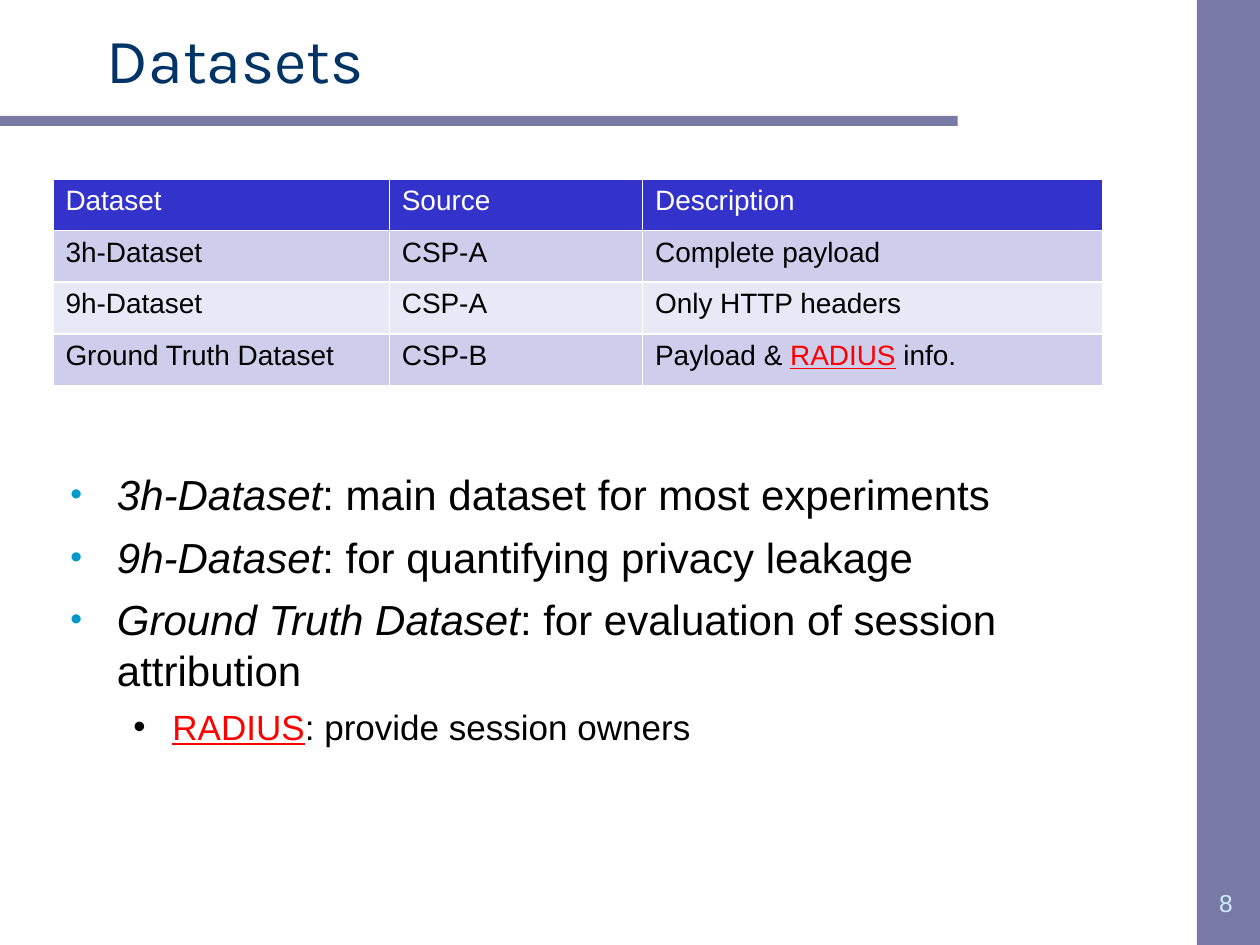
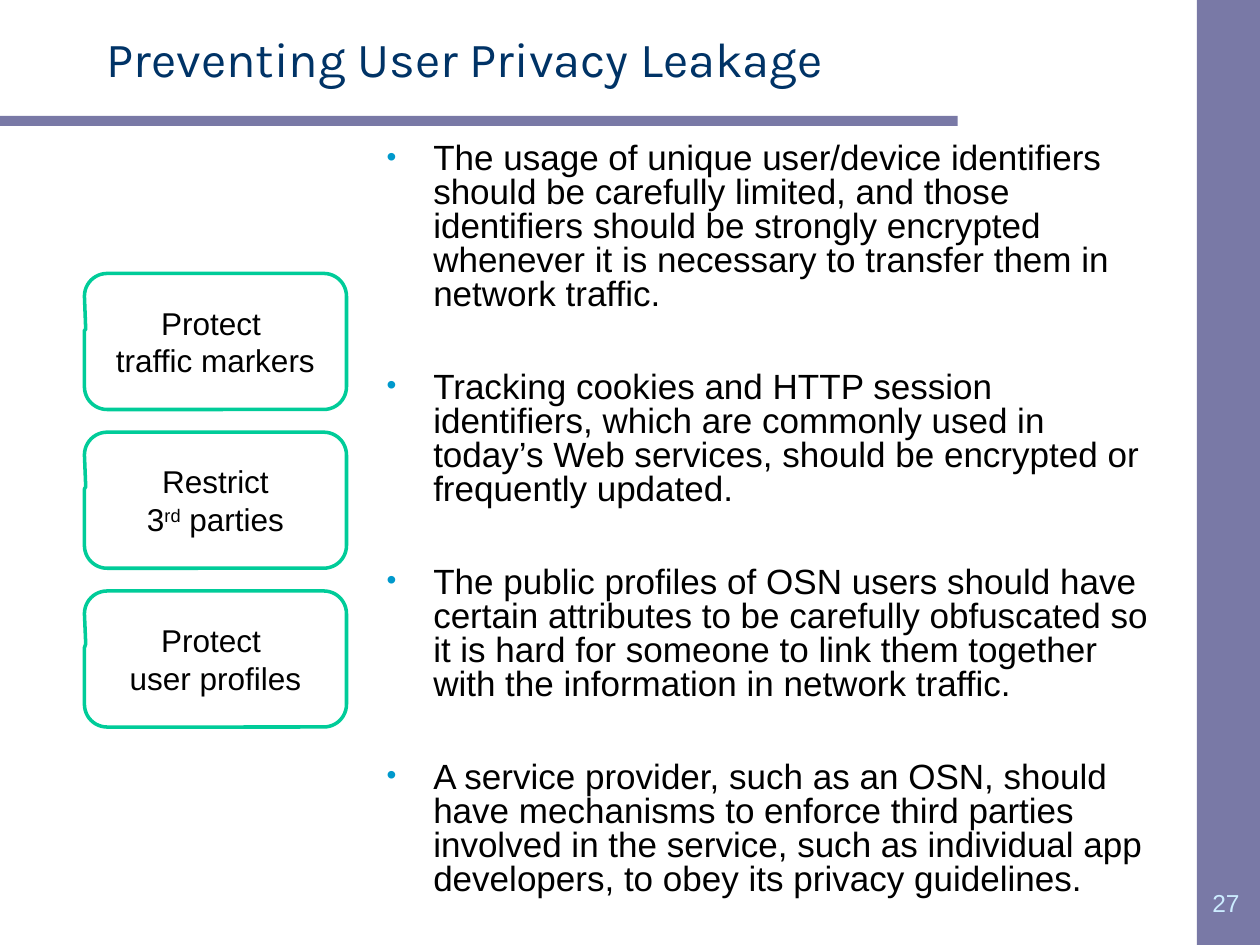
from lxml import etree
from pptx import Presentation
from pptx.dml.color import RGBColor
from pptx.enum.shapes import MSO_SHAPE
from pptx.enum.text import MSO_ANCHOR, PP_ALIGN
from pptx.oxml.ns import qn
from pptx.util import Inches, Pt

RECT = MSO_SHAPE.RECTANGLE
CALLOUT = MSO_SHAPE.ROUNDED_RECTANGULAR_CALLOUT
CENTER = PP_ALIGN.CENTER
MIDDLE, TOP = MSO_ANCHOR.MIDDLE, MSO_ANCHOR.TOP

# Shared style
BAND, TITLE, NUMBER = "7979A6", "003366", "CCECFF"
BLACK, WHITE, RED = "000000", "FFFFFF", "FF0000"
BULLET, OUTLINE = "0099CC", "00CC99"
HEADER, ROW_DARK, ROW_LIGHT = "3333CC", "CECEEC", "E8E8F6"
BODY_FONT, TITLE_FONT = "Arial", "Karla"

# Content: a run is plain text or (text, style)
RADIUS = ("RADIUS", "key")

DATASET_ROWS = [
    ["Dataset", "Source", "Description"],
    ["3h-Dataset", "CSP-A", "Complete payload"],
    ["9h-Dataset", "CSP-A", "Only HTTP headers"],
    ["Ground Truth Dataset", "CSP-B", ["Payload & ", RADIUS, " info."]],
]
DATASET_COLS = [2.67, 2.01, 3.65]

DATASET_NOTES = [  # level, runs
    (0, [("3h-Dataset", "italic"), ": main dataset for most experiments"]),
    (0, [("9h-Dataset", "italic"), ": for quantifying privacy leakage"]),
    (0, [("Ground Truth Dataset", "italic"),
         ": for evaluation of session attribution"]),
    (1, [RADIUS, ": provide session owners"]),
]

MEASURES = [  # pointer height, lines
    (-0.086, ["Protect ", "traffic markers"]),
    (-0.098, ["Restrict", ["3", ("rd", "super"), " parties"]]),
    (-0.11, ["Protect ", "user profiles"]),
]

GUIDELINES = [
    "The usage of unique user/device identifiers should be carefully limited, "
    "and those identifiers should be strongly encrypted whenever it is "
    "necessary to transfer them in network traffic.",
    "Tracking cookies and HTTP session identifiers, which are commonly used in "
    "today’s Web services, should be encrypted or frequently updated.",
    "The public profiles of OSN users should have certain attributes to be "
    "carefully obfuscated so it is hard for someone to link them together with "
    "the information in network traffic.",
    "A service provider, such as an OSN, should have mechanisms to enforce "
    "third parties involved in the service, such as individual app developers, "
    "to obey its privacy guidelines.",
]

# Per level: left margin, hanging indent, bullet colour, bullet size %, text size, space before
LEVELS = [(0.37, 0.37, BULLET, 80, 24, 7), (0.81, 0.31, BLACK, 100, 20, 6)]


def rgb(color):
    return RGBColor.from_string(color)


def add_runs(p, runs, size, color=BLACK, font=BODY_FONT):
    for run in [runs] if isinstance(runs, str) else runs:
        text, style = (run, None) if isinstance(run, str) else run
        r = p.add_run()
        r.text = text
        r.font.name, r.font.size = font, Pt(size)
        r.font.color.rgb = rgb(RED if style == "key" else color)
        if style == "key":
            r.font.underline = True
        elif style == "italic":
            r.font.italic = True
        elif style == "super":
            r.font._element.set("baseline", "30000")


def next_paragraph(tf, index):
    return tf.add_paragraph() if index else tf.paragraphs[0]


def add_box(slide, x, y, w, h, anchor=TOP):
    tf = slide.shapes.add_textbox(
        Inches(x), Inches(y), Inches(w), Inches(h)).text_frame
    tf.word_wrap = True
    tf.vertical_anchor = anchor
    return tf


def add_shape(slide, kind, x, y, w, h, fill):
    sp = slide.shapes.add_shape(
        kind, Inches(x), Inches(y), Inches(w), Inches(h))
    sp.shadow.inherit = False
    sp.fill.solid()
    sp.fill.fore_color.rgb = rgb(fill)
    sp.line.fill.background()
    return sp


def set_bullet(p, level):
    margin, hang, color, percent = LEVELS[level][:4]
    pPr = p._p.get_or_add_pPr()
    pPr.set("marL", str(Inches(margin)))
    pPr.set("indent", str(-Inches(hang)))
    clr = etree.SubElement(pPr, qn("a:buClr"))
    etree.SubElement(clr, qn("a:srgbClr"), val=color)
    etree.SubElement(pPr, qn("a:buSzPct"), val=str(percent * 1000))
    etree.SubElement(pPr, qn("a:buFont"), typeface=BODY_FONT)
    etree.SubElement(pPr, qn("a:buChar"), char="•")


def set_borders(cell, color, width):
    tcPr = cell._tc.get_or_add_tcPr()
    for i, side in enumerate(("a:lnL", "a:lnR", "a:lnT", "a:lnB")):
        ln = etree.Element(qn(side), w=str(Pt(width)))
        fill = etree.SubElement(ln, qn("a:solidFill"))
        etree.SubElement(fill, qn("a:srgbClr"), val=color)
        tcPr.insert(i, ln)


def add_slide(prs, title, title_size, number):
    slide = prs.slides.add_slide(prs.slide_layouts[6])
    # Side band and title rule
    add_shape(slide, RECT, 9.5, 0, 0.5, 7.5, BAND)
    add_shape(slide, RECT, 0, 0.92, 7.6, 0.08, BAND)
    # Title
    p = add_box(slide, 0.75, 0.1, 8.66, 0.71, MIDDLE).paragraphs[0]
    p.line_spacing = 1.03
    add_runs(p, title, title_size, TITLE, TITLE_FONT)
    # Slide number
    p = add_box(slide, 9.51, 7, 0.44, 0.49).paragraphs[0]
    p.alignment = CENTER
    add_runs(p, number, 14, NUMBER)
    return slide


def build_datasets(prs):
    slide = add_slide(prs, "Datasets", 36, "8")
    # Dataset table
    row_height = 0.41
    table = slide.shapes.add_table(
        len(DATASET_ROWS), len(DATASET_COLS), Inches(0.42), Inches(1.42),
        Inches(sum(DATASET_COLS)),
        Inches(row_height * len(DATASET_ROWS))).table
    for col, width in zip(table.columns, DATASET_COLS):
        col.width = Inches(width)
    for i, row in enumerate(DATASET_ROWS):
        table.rows[i].height = Inches(row_height)
        fill = HEADER if i == 0 else ROW_DARK if i % 2 else ROW_LIGHT
        for j, runs in enumerate(row):
            cell = table.cell(i, j)
            cell.fill.solid()
            cell.fill.fore_color.rgb = rgb(fill)
            set_borders(cell, WHITE, 1)
            add_runs(cell.text_frame.paragraphs[0], runs, 16,
                     BLACK if i else WHITE)
    # Use of each dataset
    tf = add_box(slide, 0.46, 3.67, 8.88, 3.25)
    for i, (level, runs) in enumerate(DATASET_NOTES):
        p = next_paragraph(tf, i)
        p.level = level
        set_bullet(p, level)
        size, before = LEVELS[level][4:]
        if i:
            p.space_before = Pt(before)
        add_runs(p, runs, size)


def build_prevention(prs):
    slide = add_slide(prs, "Preventing User Privacy Leakage", 28, "27")
    # Measures, evenly stacked
    for i, (pointer, lines) in enumerate(MEASURES):
        sp = add_shape(slide, CALLOUT, 0.67, 2.17 + 1.26 * i, 2.08, 1.08, WHITE)
        for k, value in enumerate((-0.495, pointer, 0.167)):
            sp.adjustments[k] = value
        sp.line.color.rgb = rgb(OUTLINE)
        sp.line.width = Pt(2)
        tf = sp.text_frame
        tf.word_wrap = True
        tf.vertical_anchor = MIDDLE
        for j, runs in enumerate(lines):
            p = next_paragraph(tf, j)
            p.alignment = CENTER
            add_runs(p, runs, 18)
    # Guidelines
    tf = add_box(slide, 2.97, 1.09, 6.25, 5.78)
    for i, text in enumerate(GUIDELINES):
        p = next_paragraph(tf, i)
        set_bullet(p, 0)
        p.line_spacing = 0.81
        if i:
            p.space_before = Pt(33.5)
        add_runs(p, text, 20)


def main():
    prs = Presentation()
    prs.slide_width, prs.slide_height = Inches(10), Inches(7.5)
    build_datasets(prs)
    build_prevention(prs)
    prs.save("out.pptx")


if __name__ == "__main__":
    main()
